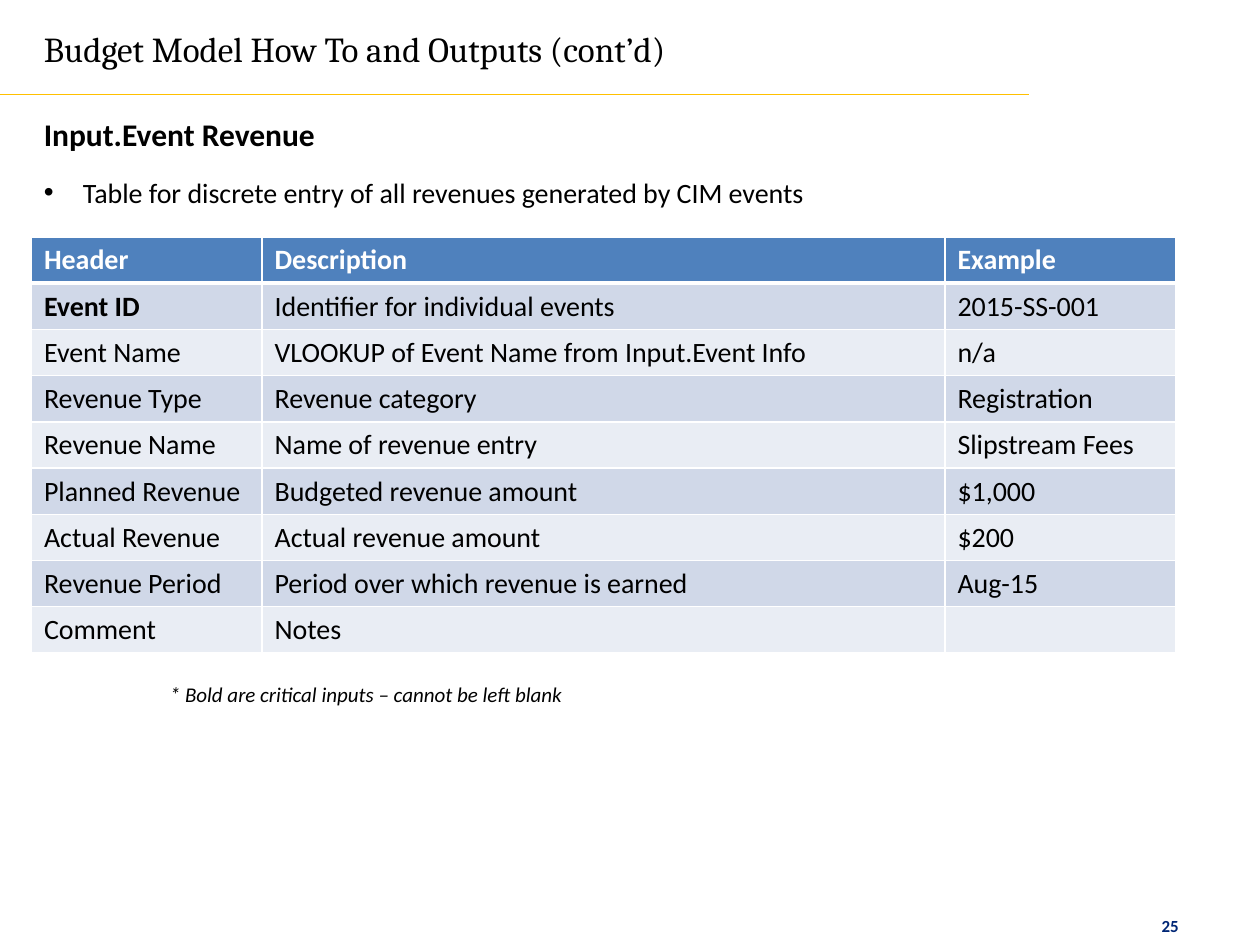
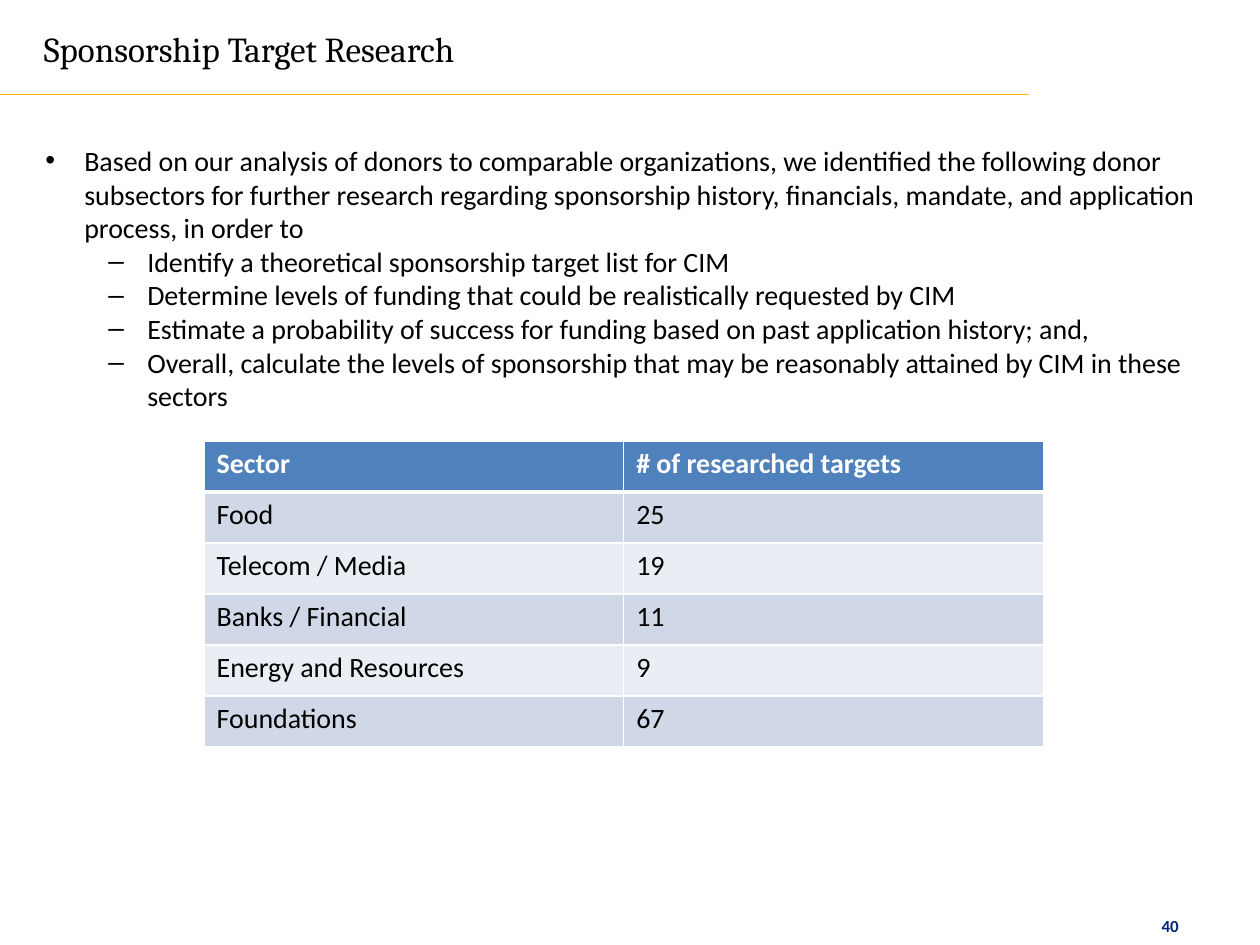
from lxml.etree import SubElement
from pptx import Presentation
from pptx.dml.color import RGBColor
from pptx.enum.shapes import MSO_CONNECTOR
from pptx.oxml.ns import qn
from pptx.util import Inches, Pt

COLOURS = {
    "text": "000000",
    "white": "FFFFFF",
    "rule": "FFC000",
    "page_number": "002776",
    "header": "4F81BD",
    "band_dark": "D0D8E8",
    "band_light": "E9EDF4",
}
BODY_FONT = "Calibri"
TITLE_FONT = "Cambria"
BODY_SIZE = 16
HANGING = 0.31

REVENUE_ROWS = [
    ("Header", "Description", "Example"),
    ("Event ID", "Identifier for individual events", "2015-SS-001"),
    ("Event Name", "VLOOKUP of Event Name from Input.Event Info", "n/a"),
    ("Revenue Type", "Revenue category", "Registration"),
    ("Revenue Name", "Name of revenue entry", "Slipstream Fees"),
    ("Planned Revenue", "Budgeted revenue amount", "$1,000"),
    ("Actual Revenue", "Actual revenue amount", "$200"),
    ("Revenue Period", "Period over which revenue is earned", "Aug-15"),
    ("Comment", "Notes", ""),
]
SECTOR_ROWS = [
    ("Sector", "# of researched targets"),
    ("Food", "25"),
    ("Telecom / Media", "19"),
    ("Banks / Financial", "11"),
    ("Energy and Resources", "9"),
    ("Foundations", "67"),
]
RESEARCH_INTRO = (
    "Based on our analysis of donors to comparable organizations, we identified "
    "the following donor subsectors for further research regarding sponsorship "
    "history, financials, mandate, and application process, in order to"
)
RESEARCH_AIMS = [
    "Identify a theoretical sponsorship target list for CIM",
    "Determine levels of funding that could be realistically requested by CIM",
    "Estimate a probability of success for funding based on past application history; and,",
    "Overall, calculate the levels of sponsorship that may be reasonably attained "
    "by CIM in these sectors",
]


def colour(name):
    return RGBColor.from_string(COLOURS[name])


# Text
def add_text_box(page, left, top, width, height, wrap=True):
    box = page.shapes.add_textbox(Inches(left), Inches(top), Inches(width), Inches(height))
    box.text_frame.word_wrap = wrap
    return box.text_frame


def write(para, text, size=BODY_SIZE, font=BODY_FONT, ink="text", bold=False, italic=False):
    para.text = text
    for span in para.runs:
        span.font.name = font
        span.font.size = Pt(size)
        span.font.bold = bold
        span.font.italic = italic
        span.font.color.rgb = colour(ink)


def write_bullet(para, text, mark="•", indent=HANGING, level=0):
    write(para, text)
    para.level = level
    properties = para._p.get_or_add_pPr()
    properties.set("marL", str(Inches(indent)))
    properties.set("indent", str(-Inches(HANGING)))
    SubElement(properties, qn("a:buFont"), typeface="Arial")
    SubElement(properties, qn("a:buChar"), char=mark)


# Tables
def add_borders(cell, top, bottom):
    properties = cell._tc.get_or_add_tcPr()
    for side, width in (("L", 1), ("R", 1), ("T", top), ("B", bottom)):
        line = SubElement(properties, qn(f"a:ln{side}"), w=str(Pt(width)))
        fill = SubElement(line, qn("a:solidFill"))
        SubElement(fill, qn("a:srgbClr"), val=COLOURS["white"])


def add_banded_table(page, left, top, widths, height, rows, bold_cells=()):
    table = page.shapes.add_table(
        len(rows), len(widths), Inches(left), Inches(top), Inches(sum(widths)), Inches(height)
    ).table
    table.horz_banding = False
    for column, width in zip(table.columns, widths):
        column.width = Inches(width)
    for row_index, values in enumerate(rows):
        table.rows[row_index].height = Inches(height / len(rows))
        is_header = row_index == 0
        band = "header" if is_header else ("band_light", "band_dark")[row_index % 2]
        for column_index, value in enumerate(values):
            cell = table.cell(row_index, column_index)
            add_borders(cell, top=3 if row_index == 1 else 1, bottom=3 if is_header else 1)
            cell.fill.solid()
            cell.fill.fore_color.rgb = colour(band)
            para = cell.text_frame.paragraphs[0]
            if value:
                write(para, value, ink="white" if is_header else "text",
                      bold=is_header or value in bold_cells)
            else:
                # An empty cell keeps the row at body text height
                SubElement(para._p, qn("a:endParaRPr"), sz=str(BODY_SIZE * 100))


# Parts shared by all slides
def add_page(deck, title, title_width, number):
    page = deck.slides.add_slide(deck.slide_layouts[6])
    number_frame = add_text_box(page, 9.12, 7.22, 0.38, 0.15)
    write(number_frame.paragraphs[0], number, size=9.7, ink="page_number", bold=True)
    title_frame = add_text_box(page, 0.25, 0.17, title_width, 0.44, wrap=False)
    write(title_frame.paragraphs[0], title, size=20, font=TITLE_FONT)
    rule = page.shapes.add_connector(
        MSO_CONNECTOR.STRAIGHT, 0, Inches(0.75), Inches(8.17), Inches(0.75)
    )
    rule.line.color.rgb = colour("rule")
    rule.line.width = Pt(0.75)
    SubElement(rule._element.spPr, qn("a:effectLst"))
    return page


def add_event_revenue(deck):
    page = add_page(deck, "Budget Model How To and Outputs (cont’d)", 5.38, "25")
    add_banded_table(page, 0.25, 1.88, (1.83, 5.42, 1.83), 3.3, REVENUE_ROWS, ("Event ID",))

    # Heading and its bullet
    frame = add_text_box(page, 0.25, 0.82, 9.5, 0.9)
    heading, bullet = frame.paragraphs[0], frame.add_paragraph()
    heading.line_spacing = bullet.line_spacing = 1.15
    heading.space_after = Pt(10)
    write(heading, "Input.Event Revenue", size=18, bold=True)
    write_bullet(bullet, "Table for discrete entry of all revenues generated by CIM events")

    # Footnote
    footnote = add_text_box(page, 1.25, 5.36, 5.23, 0.3).paragraphs[0]
    write(footnote, "* Bold are critical inputs – cannot be left blank", size=12, italic=True)


def add_target_research(deck):
    page = add_page(deck, "Sponsorship Target Research", 3.67, "40")

    # Purpose of the research
    frame = add_text_box(page, 0.25, 1.08, 9.4, 2.27)
    frame.margin_left = frame.margin_right = Inches(0.11)
    frame.margin_top = frame.margin_bottom = Inches(0.06)
    write_bullet(frame.paragraphs[0], RESEARCH_INTRO)
    for aim in RESEARCH_AIMS:
        write_bullet(frame.add_paragraph(), aim, mark="–", indent=0.81, level=1)

    add_banded_table(page, 1.62, 3.5, (3.33, 3.33), 2.43, SECTOR_ROWS)


def main():
    deck = Presentation()
    deck.slide_width, deck.slide_height = Inches(10), Inches(7.5)
    add_event_revenue(deck)
    add_target_research(deck)
    deck.save("out.pptx")


if __name__ == "__main__":
    main()
